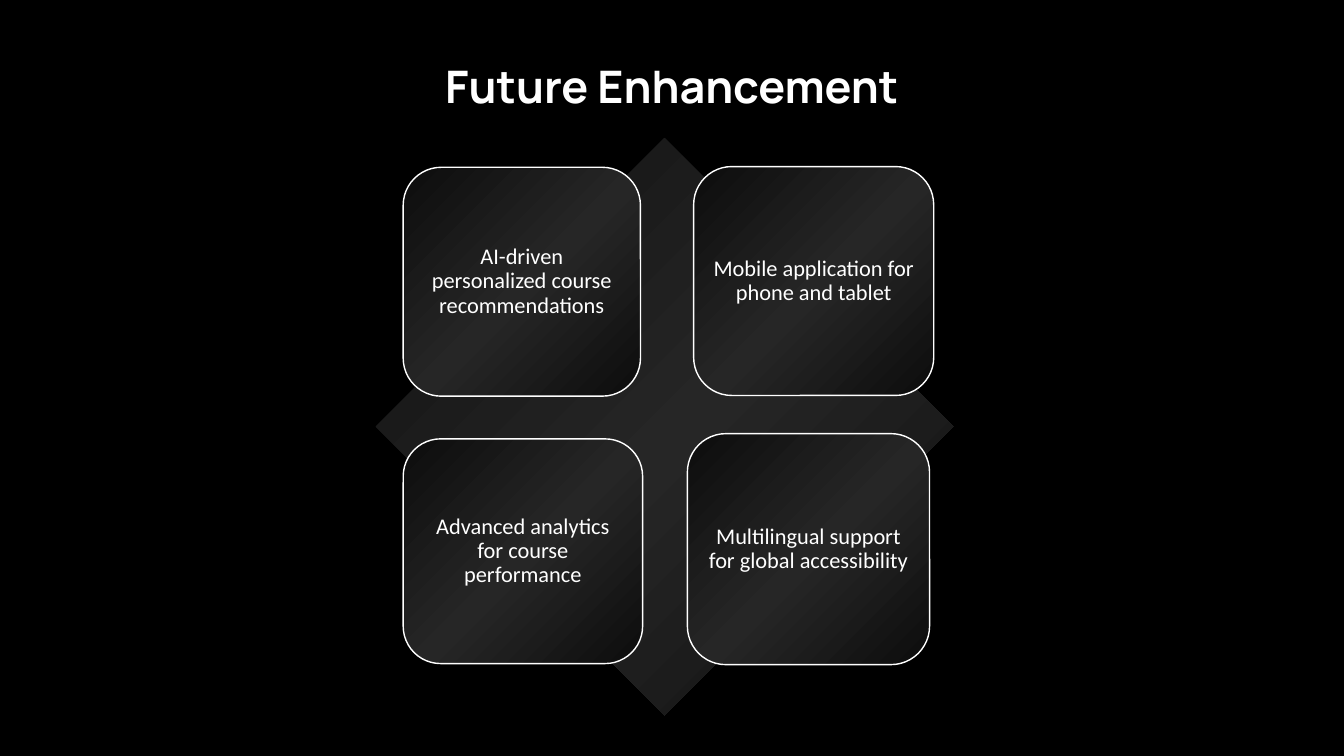
"""Build the Future Enhancement slide: four cards over a diamond."""
from lxml import etree
from pptx import Presentation
from pptx.dml.color import RGBColor
from pptx.enum.shapes import MSO_SHAPE
from pptx.enum.text import MSO_ANCHOR, PP_ALIGN
from pptx.oxml.ns import qn
from pptx.util import Pt

DIAMOND, ROUNDED = MSO_SHAPE.DIAMOND, MSO_SHAPE.ROUNDED_RECTANGLE
MIDDLE, CENTER = MSO_ANCHOR.MIDDLE, PP_ALIGN.CENTER
BLACK = RGBColor(0x00, 0x00, 0x00)
WHITE = RGBColor(0xFF, 0xFF, 0xFF)
NEAR_BLACK = RGBColor(0x0D, 0x0D, 0x0D)
CHARCOAL = RGBColor(0x26, 0x26, 0x26)
ICE = RGBColor(0xF6, 0xF8, 0xFC)
PALE_BLUE = RGBColor(0xAB, 0xC0, 0xE4)
LILAC = RGBColor(0xC1, 0x98, 0xE0)
DARK_SHEEN = [(0, NEAR_BLACK), (52, CHARCOAL), (100, NEAR_BLACK)]
TITLE_SHEEN = [(0, ICE), (35, WHITE), (70, PALE_BLUE), (100, LILAC)]


def set_gradient(fill, element, stops):
    fill.gradient()
    fill.gradient_angle = 315
    stop_list = next(element.iter(qn("a:gsLst")))
    for old_stop in list(stop_list):
        stop_list.remove(old_stop)
    for percent, color in stops:
        stop = etree.SubElement(stop_list, qn("a:gs"), pos=str(percent * 1000))
        etree.SubElement(stop, qn("a:srgbClr"), val=str(color))


def add_panel(kind, left, top, width, height):
    panel = slide.shapes.add_shape(kind, Pt(left), Pt(top), Pt(width), Pt(height))
    panel.shadow.inherit = False
    set_gradient(panel.fill, panel._element, DARK_SHEEN)
    return panel


prs = Presentation()
prs.slide_width, prs.slide_height = Pt(960), Pt(540)
slide = prs.slides.add_slide(prs.slide_layouts[5])
slide.background.fill.solid()
slide.background.fill.fore_color.rgb = BLACK

title = slide.shapes.title
title.left, title.top, title.width, title.height = Pt(66), Pt(28.75), Pt(828), Pt(70)
title.text_frame.text = "Future Enhancement"
title.text_frame.vertical_anchor = MIDDLE
heading = title.text_frame.paragraphs[0]
heading.alignment = CENTER
heading.line_spacing = 0.9
heading_run = heading.runs[0]
heading_run.font.name = "Manrope"
heading_run.font.size = Pt(32)
heading_run.font.bold = True
set_gradient(heading_run.font.fill, heading_run._r, TITLE_SHEEN)

backdrop = add_panel(DIAMOND, 268.5, 98.5, 412.5, 412.5)
backdrop.line.fill.background()

enhancements = [
    ("AI-driven personalized course recommendations", 288, 119.5, 169.5, 163.5),
    ("Mobile application for phone and tablet", 495.5, 119, 171.5, 163.5),
    ("Advanced analytics for course performance", 288, 313.5, 171, 160.5),
    ("Multilingual support for global accessibility", 491, 309.75, 173, 165),
]
for enhancement, left, top, width, height in enhancements:
    card = add_panel(ROUNDED, left, top, width, height)
    card.line.color.rgb = WHITE
    card.line.width = Pt(1)
    frame = card.text_frame
    frame.text = enhancement
    frame.word_wrap = True
    frame.vertical_anchor = MIDDLE
    frame.margin_left = frame.margin_right = Pt(5)
    frame.margin_top = frame.margin_bottom = Pt(5)
    label = frame.paragraphs[0]
    label.alignment = CENTER
    label.line_spacing = 0.9
    label_font = label.runs[0].font
    label_font.name = "Calibri"
    label_font.size = Pt(16)
    label_font.color.rgb = WHITE

prs.save("out.pptx")
